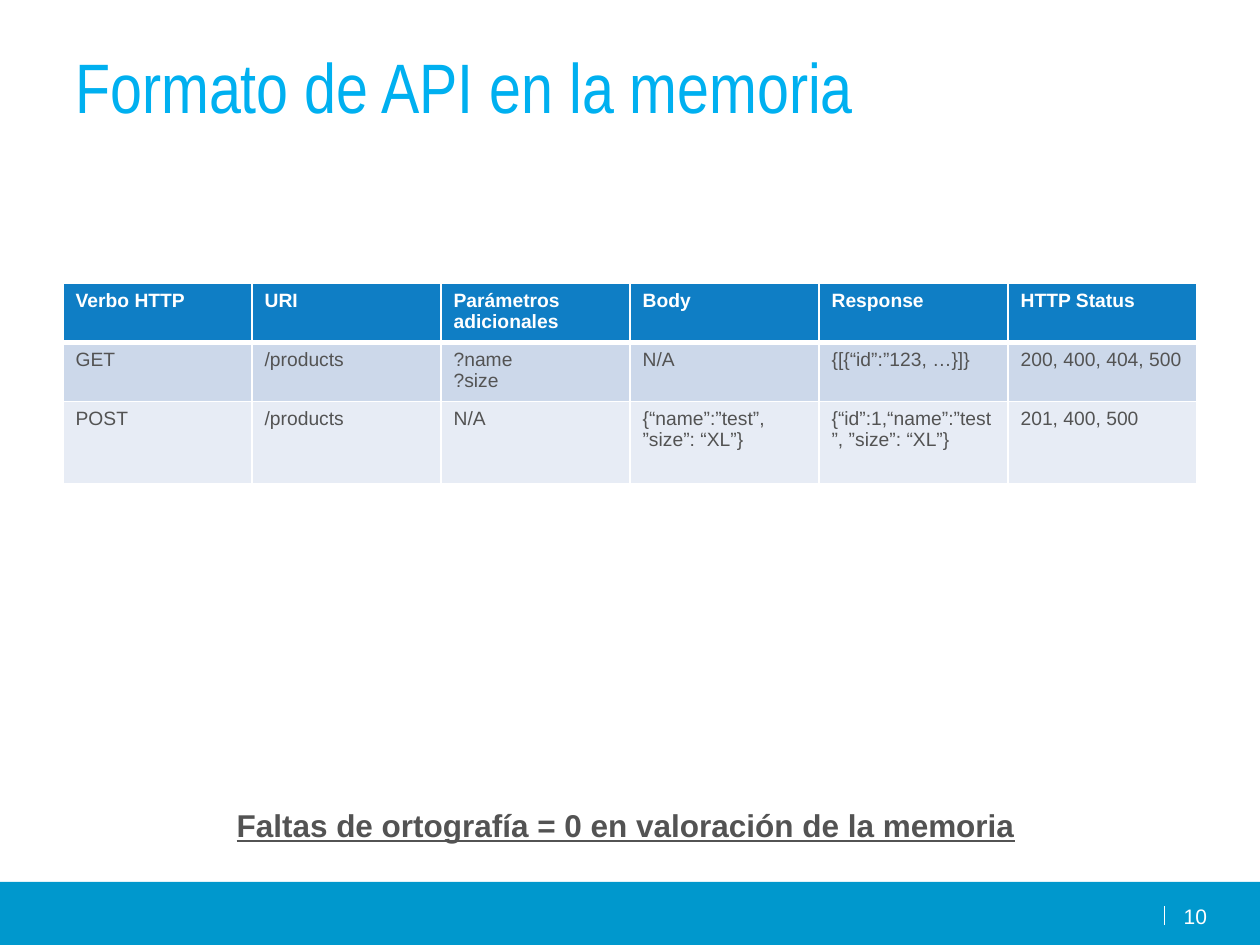
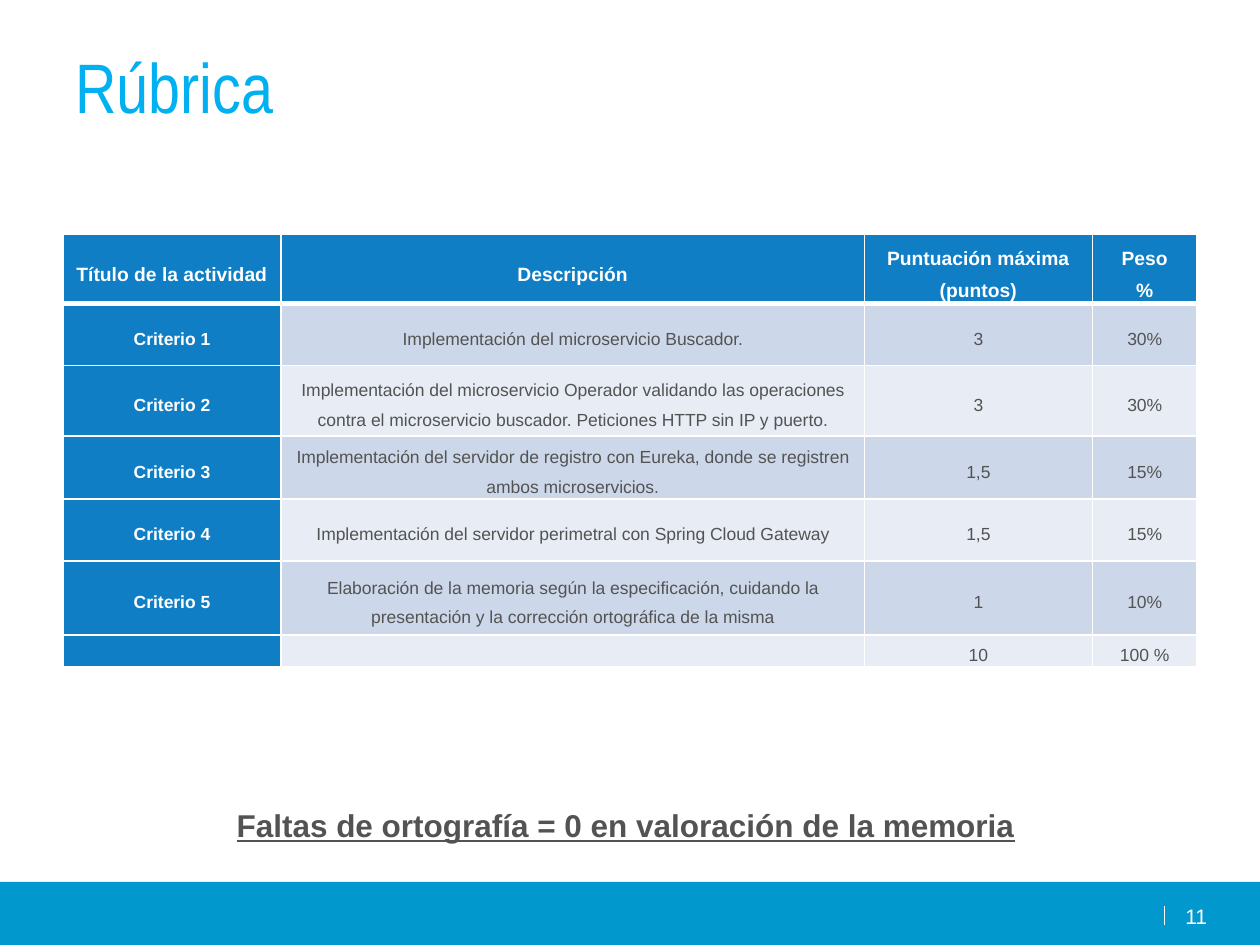
"""Builds the API format and rubric slides."""
from lxml import etree
from pptx import Presentation
from pptx import util as u
from pptx.dml.color import RGBColor
from pptx.enum import shapes, text
from pptx.oxml import ns

COLORS = {
    "white": "FFFFFF", "band": "0098CD", "title": "00B0F0", "ink": "535353",
    "head": "0F7EC5", "odd": "CCD8EA", "even": "E7ECF5",
}
WARNING = "Faltas de ortografía = 0 en valoración de la memoria"

SLIDES = [
    {
        "title": "Formato de API en la memoria", "number": "10", "top": 2.25,
        "columns": [1.5] * 6, "heights": [0.46, 0.47, 0.65],
        "insets": (0.1, 0.05), "body_size": 11, "rubric": False,
        "rows": [
            ["Verbo HTTP", "URI", "Parámetros adicionales", "Body", "Response", "HTTP Status"],
            ["GET", "/products", "?name\n?size", "N/A", "{[{“id”:”123, …}]}", "200, 400, 404, 500"],
            ["POST", "/products", "N/A", "{“name”:”test”, ”size”: “XL”}",
             "{“id”:1,“name”:”test”, ”size”: “XL”}", "201, 400, 500"],
        ],
    },
    {
        "title": "Rúbrica", "number": "11", "top": 1.86,
        "columns": [1.73, 4.63, 1.81, 0.83],
        "heights": [0.54, 0.49, 0.56, 0.5, 0.49, 0.59, 0.25],
        "insets": (0.07, 0), "body_size": 10, "rubric": True,
        "rows": [
            ["Título de la actividad", "Descripción", "Puntuación máxima\n(puntos)", "Peso\n%"],
            ["Criterio 1", "Implementación del microservicio Buscador.", "3", "30%"],
            ["Criterio 2", "Implementación del microservicio Operador validando las operaciones "
             "contra el microservicio buscador. Peticiones HTTP sin IP y puerto.", "3", "30%"],
            ["Criterio 3", "Implementación del servidor de registro con Eureka, "
             "donde se registren ambos microservicios.", "1,5", "15%"],
            ["Criterio 4", "Implementación del servidor perimetral con Spring Cloud Gateway",
             "1,5", "15%"],
            ["Criterio 5", "Elaboración de la memoria según la especificación, cuidando la "
             "presentación y la corrección ortográfica de la misma", "1", "10%"],
            ["", "", "10", "100 %"],
        ],
    },
]


def color(name):
    return RGBColor.from_string(COLORS[name])


def write(paragraph, words, size, ink, font="Arial", bold=False, underline=False):
    run = paragraph.add_run()
    run.text = words
    run.font.name, run.font.size = font, u.Pt(size)
    run.font.bold, run.font.underline = bold, underline
    run.font.color.rgb = color(ink)


def add_label(slide, box, inset=(0.1, 0.05), wrap=True, align=text.PP_ALIGN.LEFT):
    frame = slide.shapes.add_textbox(*map(u.Inches, box)).text_frame
    frame.word_wrap = wrap
    frame.margin_left = frame.margin_right = u.Inches(inset[0])
    frame.margin_top = frame.margin_bottom = u.Inches(inset[1])
    frame.paragraphs[0].alignment = align
    return frame.paragraphs[0]


def add_frame(slide, content):
    band = slide.shapes.add_shape(
        shapes.MSO_SHAPE.RECTANGLE, 0, u.Inches(7), u.Inches(10), u.Inches(0.5))
    band.shadow.inherit = False
    band.fill.solid()
    band.fill.fore_color.rgb = color("band")
    band.line.fill.background()
    divider = slide.shapes.add_connector(
        shapes.MSO_CONNECTOR.STRAIGHT, *map(u.Inches, (9.24, 7.34, 9.24, 7.19)))
    divider.line.color.rgb = color("white")
    divider.line.width = u.Pt(0.75)
    etree.SubElement(divider._element.spPr, ns.qn("a:effectLst"))
    number = add_label(slide, (9.28, 7.17, 0.3, 0.19), (0, 0), align=text.PP_ALIGN.RIGHT)
    write(number, content["number"], 12, "white")
    title = add_label(slide, (0.5, 0.3, 9, 1.25))
    write(title, content["title"], 40, "title", "Arial Narrow")
    warning = add_label(slide, (1.78, 6.35, 6.44, 0.4), wrap=False)
    write(warning, WARNING, 18, "ink", bold=True, underline=True)


def add_borders(cell, top, bottom):
    properties = cell._tc.get_or_add_tcPr()
    for place, (side, width) in enumerate((("L", 1), ("R", 1), ("T", top), ("B", bottom))):
        border = etree.Element(ns.qn(f"a:ln{side}"), w=str(u.Pt(width)))
        fill = etree.SubElement(border, ns.qn("a:solidFill"))
        etree.SubElement(fill, ns.qn("a:srgbClr"), val=COLORS["white"])
        properties.insert(place, border)


def fill_cell(cell, words, row, column, content):
    rubric = content["rubric"]
    strong = row == 0 or (rubric and column == 0)
    size = 11 if row == 0 else content["body_size"]
    cell.fill.solid()
    cell.fill.fore_color.rgb = color("head" if strong else "odd" if row % 2 else "even")
    cell.margin_left = cell.margin_right = u.Inches(content["insets"][0])
    cell.margin_top = cell.margin_bottom = u.Inches(content["insets"][1])
    cell.vertical_anchor = text.MSO_ANCHOR.MIDDLE if rubric else text.MSO_ANCHOR.TOP
    for index, line in enumerate(words.split("\n")):
        frame = cell.text_frame
        paragraph = frame.add_paragraph() if index else frame.paragraphs[0]
        if rubric:
            paragraph.alignment = text.PP_ALIGN.CENTER
            paragraph.line_spacing = 1.5
        if line:
            write(paragraph, line, size, "white" if strong else "ink", bold=strong)
        else:
            etree.SubElement(paragraph._p, ns.qn("a:endParaRPr"), sz=str(size * 100))
    add_borders(cell, 3 if row == 1 else 1, 3 if row == 0 else 1)


def add_grid(slide, content):
    rows, columns, heights = content["rows"], content["columns"], content["heights"]
    grid = slide.shapes.add_table(
        len(rows), len(columns), u.Inches(0.5), u.Inches(content["top"]),
        u.Inches(sum(columns)), u.Inches(sum(heights))).table
    for column, width in zip(grid.columns, columns):
        column.width = u.Inches(width)
    for row, height in zip(grid.rows, heights):
        row.height = u.Inches(height)
    for r, entries in enumerate(rows):
        for c, words in enumerate(entries):
            fill_cell(grid.cell(r, c), words, r, c, content)


def main():
    deck = Presentation()
    deck.slide_width, deck.slide_height = u.Inches(10), u.Inches(7.5)
    for content in SLIDES:
        slide = deck.slides.add_slide(deck.slide_layouts[6])
        add_frame(slide, content)
        add_grid(slide, content)
    deck.save("out.pptx")


if __name__ == "__main__":
    main()
